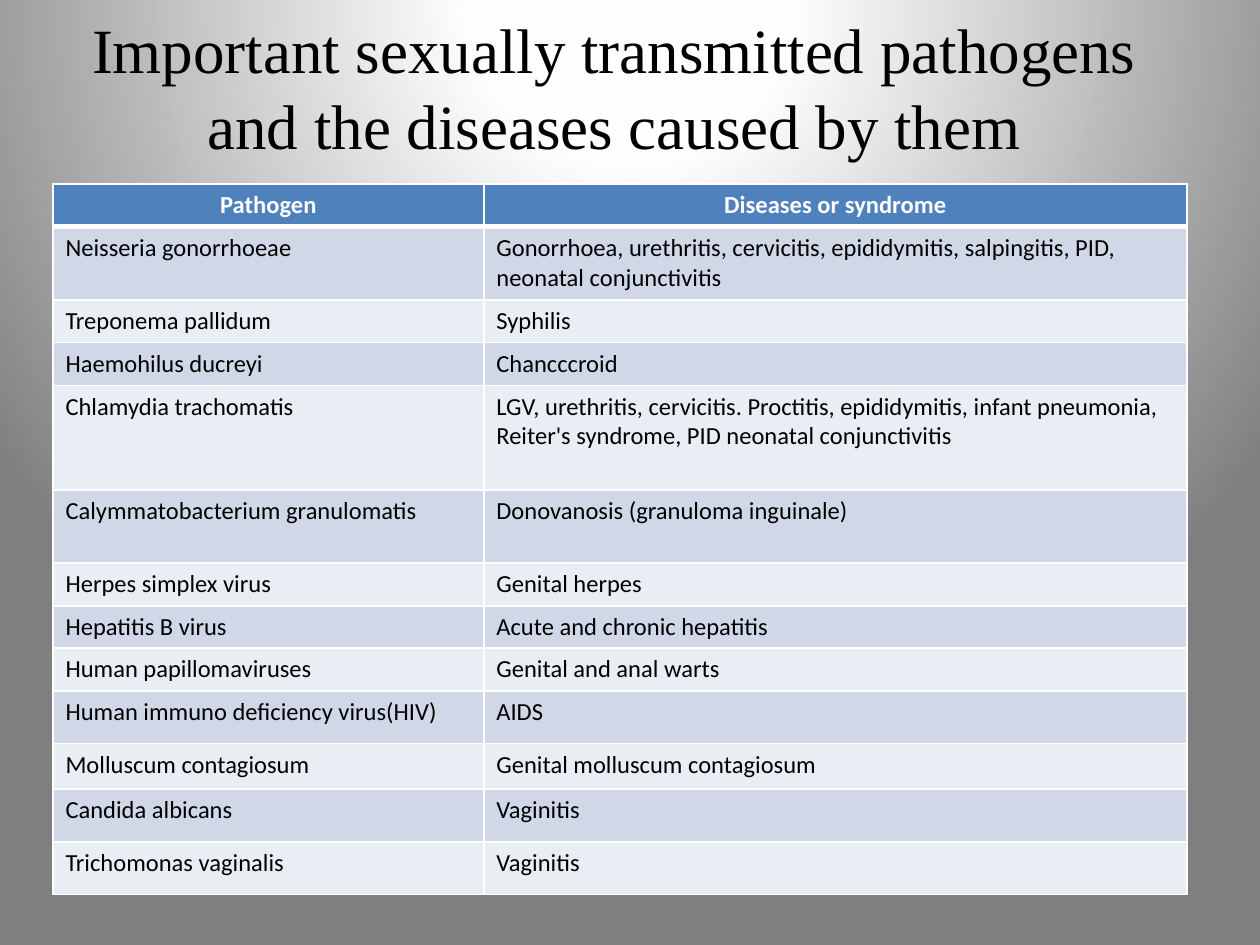
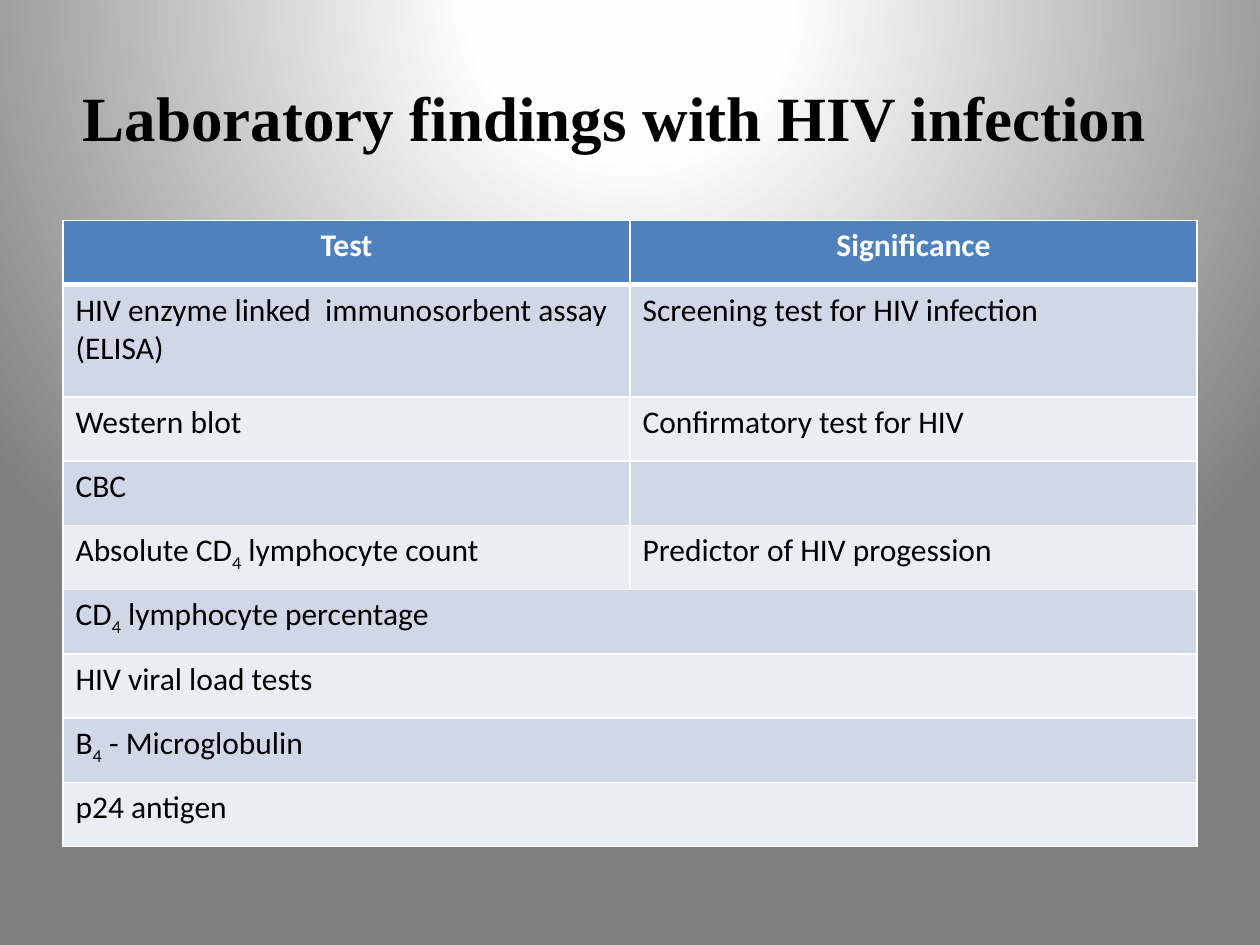
from lxml import etree
from pptx import Presentation
from pptx import util as u
from pptx.dml import color
from pptx.enum import text
from pptx.oxml import parse_xml, ns

Inches = u.Inches
BLACK, WHITE = "000000", "FFFFFF"
HEADER = "4F81BD"
BANDS = ("D0D8E8", "E9EDF4")
GRADIENT = ((0, "FFFFFF"), (20, "FEFEFE"), (100, "7F7F7F"))
TITLE_FONT, BODY_FONT = "Times New Roman", "Calibri"


def rgb(value):
    return color.RGBColor.from_string(value)


def style(span, font, size, tint, bold=False):
    span.font.name = font
    span.font.size = u.Pt(size)
    span.font.bold = bold
    span.font.color.rgb = rgb(tint)


def add_background(page):
    """Radial glow centred above the page."""
    stops = "".join(
        f'<a:gs pos="{place * 1000}"><a:srgbClr val="{tint}"/></a:gs>'
        for place, tint in GRADIENT)
    page.element.cSld.insert(0, parse_xml(
        f'<p:bg {ns.nsdecls("p", "a")}><p:bgPr><a:gradFill rotWithShape="1">'
        f'<a:gsLst>{stops}</a:gsLst><a:path path="circle">'
        '<a:fillToRect l="50000" t="-80000" r="50000" b="180000"/></a:path>'
        '</a:gradFill><a:effectLst/></p:bgPr></p:bg>'))


def add_title(page, box, wording, bold):
    frame = page.shapes.add_textbox(*map(Inches, box)).text_frame
    frame.word_wrap = True
    frame.vertical_anchor = text.MSO_ANCHOR.MIDDLE
    para = frame.paragraphs[0]
    para.text = wording
    para.alignment = text.PP_ALIGN.CENTER
    style(para.runs[0], TITLE_FONT, 36, BLACK, bold)


def set_borders(cell, top, bottom):
    """White lines on all sides; they must come before the cell's fill."""
    props = cell._tc.get_or_add_tcPr()
    sides = (("lnL", 1), ("lnR", 1), ("lnT", top), ("lnB", bottom))
    for index, (side, points) in enumerate(sides):
        line = etree.Element(ns.qn("a:" + side), w=str(u.Pt(points)))
        fill = etree.SubElement(line, ns.qn("a:solidFill"))
        etree.SubElement(fill, ns.qn("a:srgbClr"), val=WHITE)
        props.insert(index, line)


def fill_cell(cell, wording, size, row):
    """Text between underscores is set as a subscript."""
    header = row == 0
    para = cell.text_frame.paragraphs[0]
    if header:
        para.alignment = text.PP_ALIGN.CENTER
    for index, part in enumerate(wording.split("_")):
        if not part:
            continue
        span = para.add_run()
        span.text = part
        style(span, BODY_FONT, size, WHITE if header else BLACK, header)
        if index % 2:
            span._r.get_or_add_rPr().set("baseline", "-25000")


def add_grid(page, box, widths, heights, rows, size):
    """Banded table; a row with one entry spans all columns."""
    grid = page.shapes.add_table(
        len(rows), len(widths), *map(Inches, box)).table
    for column, width in zip(grid.columns, widths):
        column.width = Inches(width)
    for index, (entries, height) in enumerate(zip(rows, heights)):
        grid.rows[index].height = Inches(height)
        tint = BANDS[(index - 1) % 2] if index else HEADER
        for column in range(len(widths)):
            cell = grid.cell(index, column)
            cell.fill.solid()
            cell.fill.fore_color.rgb = rgb(tint)
            set_borders(cell, 3 if index == 1 else 1, 1 if index else 3)
        for column, wording in enumerate(entries):
            fill_cell(grid.cell(index, column), wording, size, index)
        if len(entries) == 1:
            grid.cell(index, 0).merge(grid.cell(index, len(widths) - 1))


def add_table_page(deck, title, title_box, bold, **grid):
    page = deck.slides.add_slide(deck.slide_layouts[6])
    add_background(page)
    add_title(page, title_box, title, bold)
    add_grid(page, **grid)


PATHOGENS = [
    ("Pathogen", "Diseases or syndrome"),
    ("Neisseria gonorrhoeae",
     "Gonorrhoea, urethritis, cervicitis, epididymitis, salpingitis, PID, "
     "neonatal conjunctivitis"),
    ("Treponema pallidum", "Syphilis"),
    ("Haemohilus ducreyi", "Chancccroid"),
    ("Chlamydia trachomatis",
     "LGV, urethritis, cervicitis. Proctitis, epididymitis, infant pneumonia, "
     "Reiter's syndrome, PID neonatal conjunctivitis"),
    ("Calymmatobacterium granulomatis", "Donovanosis (granuloma inguinale)"),
    ("Herpes simplex virus", "Genital herpes"),
    ("Hepatitis B virus", "Acute and chronic hepatitis"),
    ("Human papillomaviruses", "Genital and anal warts"),
    ("Human immuno deficiency virus(HIV)", "AIDS"),
    ("Molluscum contagiosum", "Genital molluscum contagiosum"),
    ("Candida albicans", "Vaginitis"),
    ("Trichomonas vaginalis", "Vaginitis"),
]
TESTS = [
    ("Test", "Significance"),
    ("HIV enzyme linked  immunosorbent assay (ELISA)",
     "Screening test for HIV infection"),
    ("Western blot", "Confirmatory test for HIV"),
    ("CBC", ""),
    ("Absolute CD_4_ lymphocyte count", "Predictor of HIV progession"),
    ("CD_4_ lymphocyte percentage",),
    ("HIV viral load tests",),
    ("B_4_ - Microglobulin",),
    ("p24 antigen",),
]

deck = Presentation()
deck.slide_width, deck.slide_height = Inches(10), Inches(7.5)

# Pathogens and their diseases
add_table_page(
    deck,
    "Important sexually transmitted pathogens and the diseases caused by them",
    (0.25, 0.17, 9.25, 1.03), False,
    box=(0.42, 1.46, 9, 5.64), widths=(3.42, 5.58), rows=PATHOGENS, size=14,
    heights=(0.34, 0.58, 0.34, 0.34, 0.83, 0.58, 0.34,
             0.32, 0.34, 0.42, 0.36, 0.42, 0.42))

# Laboratory tests
add_table_page(
    deck, "Laboratory findings with HIV infection",
    (0.25, 0.3, 9.25, 1.25), True,
    box=(0.5, 1.75, 9, 5), widths=(4.5, 4.5), rows=TESTS, size=18,
    heights=[0.51, 0.89] + [0.51] * 7)

deck.save("out.pptx")
